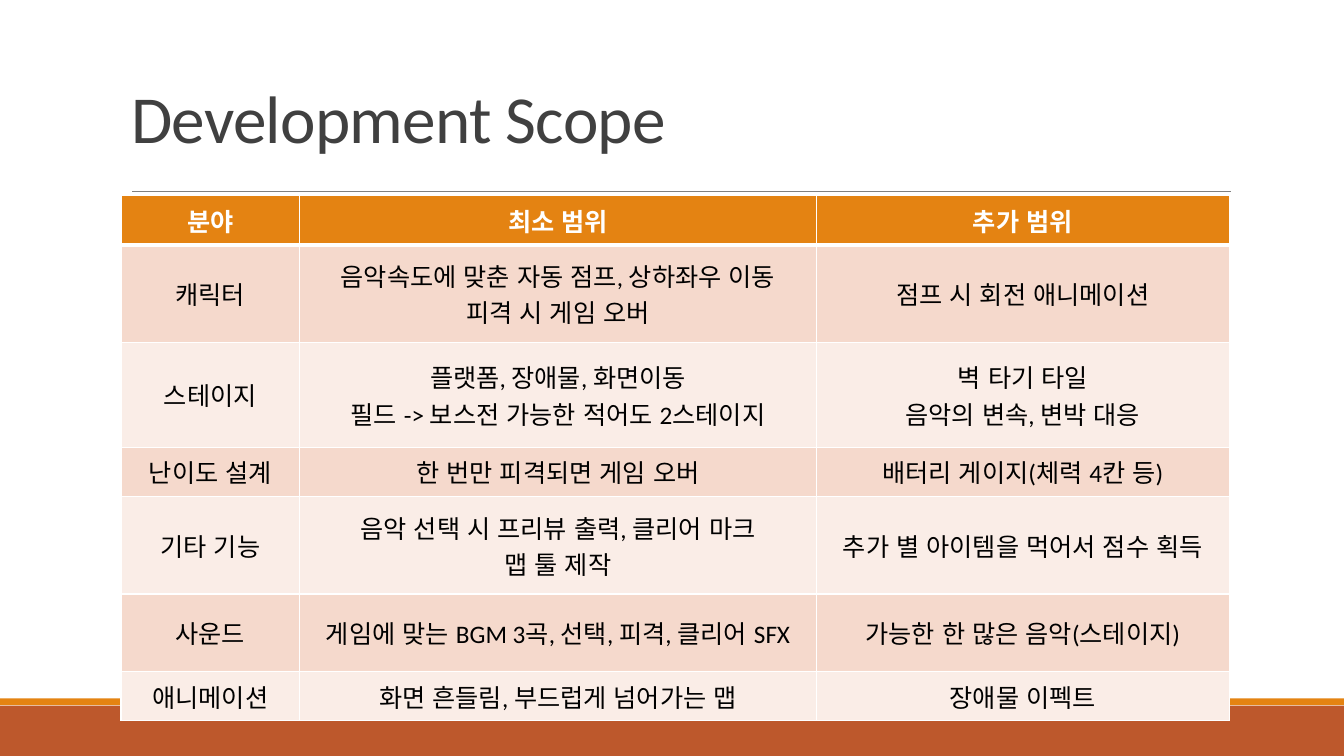
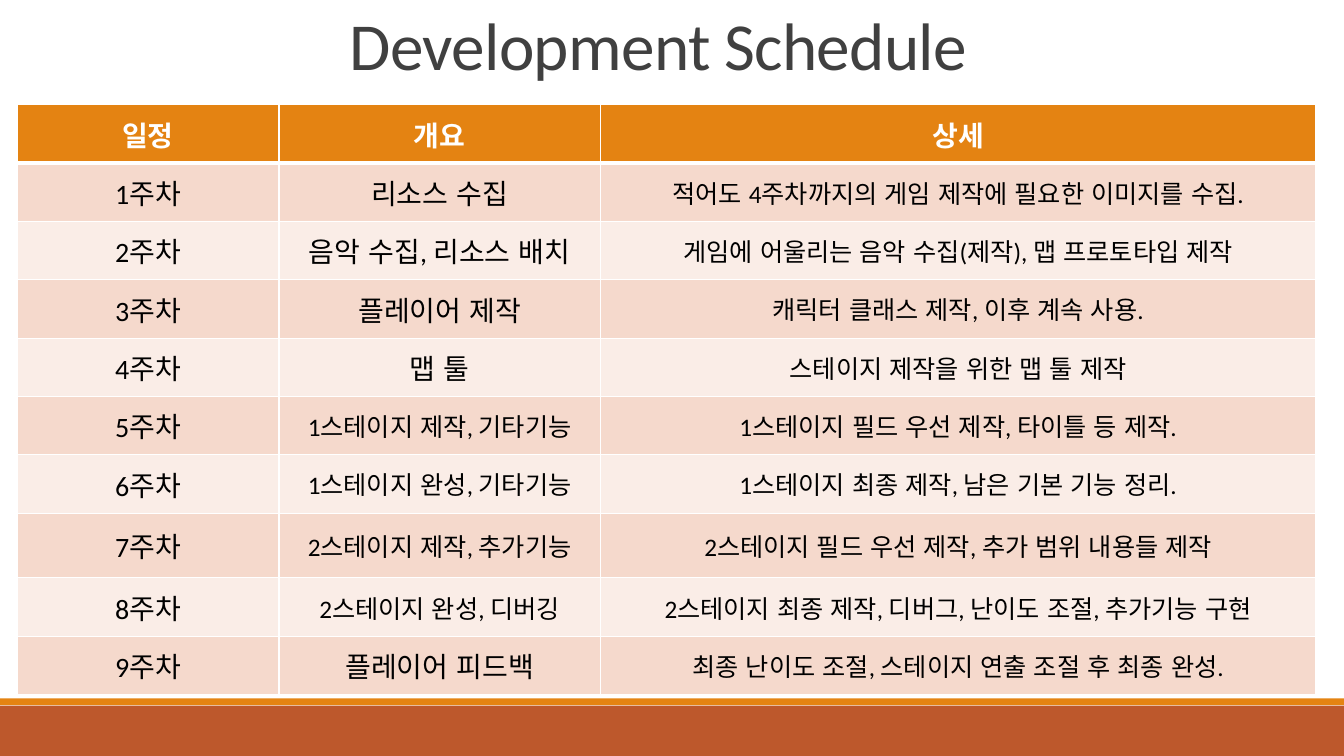
from dataclasses import dataclass

from lxml import etree
from pptx import Presentation
from pptx.dml.color import RGBColor
from pptx.enum.lang import MSO_LANGUAGE_ID
from pptx.enum.shapes import MSO_CONNECTOR, MSO_SHAPE
from pptx.enum.text import MSO_ANCHOR, MSO_AUTO_SIZE, PP_ALIGN
from pptx.oxml.ns import qn
from pptx.presentation import Presentation as Deck
from pptx.slide import Slide
from pptx.table import _Cell as Cell
from pptx.text.text import _Paragraph as Paragraph, _Run as Run
from pptx.util import Cm, Pt

RECTANGLE = MSO_SHAPE.RECTANGLE
STRAIGHT = MSO_CONNECTOR.STRAIGHT
LEFT, CENTER = PP_ALIGN.LEFT, PP_ALIGN.CENTER
BOTTOM, MIDDLE = MSO_ANCHOR.BOTTOM, MSO_ANCHOR.MIDDLE
KOREAN = MSO_LANGUAGE_ID.KOREAN
TITLE_ONLY = 5

FONT = "Calibri"
COLORS = {
    "title": "404040",
    "rule": "808080",
    "rust": "BD582C",
    "orange": "E48312",
    "band_dark": "F5D9CC",
    "band_light": "FAEDE7",
    "white": "FFFFFF",
    "black": "000000",
}
PAGE_WIDTH, PAGE_HEIGHT = 33.87, 19.05
TITLE_WIDTH, TITLE_HEIGHT = 27.94, 4.45
THIN, THICK = 1, 3


@dataclass(frozen=True)
class Band:
    top: float
    height: float
    color: str


@dataclass(frozen=True)
class Row:
    height: float
    texts: tuple[str, ...]
    sizes: tuple[int, ...] = (18, 18, 18)


@dataclass(frozen=True)
class TablePage:
    title: str
    title_left: float
    title_top: float
    table_left: float
    table_top: float
    columns: tuple[float, ...]
    rows: tuple[Row, ...]
    has_rule: bool


FOOTER_BANDS = (Band(17.78, 1.27, "rust"), Band(17.6, 0.17, "orange"))

SCOPE_ROWS = (
    Row(1.24, ("분야", "최소 범위", "추가 범위")),
    Row(2.46, ("캐릭터",
               "음악속도에 맞춘 자동 점프, 상하좌우 이동\n피격 시 게임 오버",
               "점프 시 회전 애니메이션")),
    Row(2.64, ("스테이지",
               "플랫폼, 장애물, 화면이동\n필드 -> 보스전 가능한 적어도 2스테이지",
               "벽 타기 타일\n음악의 변속, 변박 대응")),
    Row(1.24, ("난이도 설계", "한 번만 피격되면 게임 오버",
               "배터리 게이지(체력 4칸 등)")),
    Row(2.46, ("기타 기능",
               "음악 선택 시 프리뷰 출력, 클리어 마크\n맵 툴 제작",
               "추가 별 아이템을 먹어서 점수 획득")),
    Row(1.24, ("사운드", "게임에 맞는 BGM 3곡, 선택, 피격, 클리어 SFX",
               "가능한 한 많은 음악(스테이지)")),
    Row(1.24, ("애니메이션", "화면 흔들림, 부드럽게 넘어가는 맵", "장애물 이펙트")),
)

WEEK_HEIGHT = 1.47
LARGE = (20, 20, 20)
SHORT_OVERVIEW = (20, 20, 18)
LONG_OVERVIEW = (20, 18, 18)

SCHEDULE_ROWS = (
    Row(WEEK_HEIGHT, ("일정", "개요", "상세"), LARGE),
    Row(WEEK_HEIGHT, ("1주차", "리소스 수집",
                      "적어도 4주차까지의 게임 제작에 필요한 이미지를 수집."), SHORT_OVERVIEW),
    Row(WEEK_HEIGHT, ("2주차", "음악 수집, 리소스 배치",
                      "게임에 어울리는 음악 수집(제작), 맵 프로토타입 제작"), SHORT_OVERVIEW),
    Row(WEEK_HEIGHT, ("3주차", "플레이어 제작",
                      "캐릭터 클래스 제작, 이후 계속 사용."), SHORT_OVERVIEW),
    Row(WEEK_HEIGHT, ("4주차", "맵 툴", "스테이지 제작을 위한 맵 툴 제작"), SHORT_OVERVIEW),
    Row(WEEK_HEIGHT, ("5주차", "1스테이지 제작, 기타기능",
                      "1스테이지 필드 우선 제작, 타이틀 등 제작."), LONG_OVERVIEW),
    Row(WEEK_HEIGHT, ("6주차", "1스테이지 완성, 기타기능",
                      "1스테이지 최종 제작, 남은 기본 기능 정리."), LONG_OVERVIEW),
    Row(1.63, ("7주차", "2스테이지 제작, 추가기능",
               "2스테이지 필드 우선 제작, 추가 범위 내용들 제작"), LONG_OVERVIEW),
    Row(WEEK_HEIGHT, ("8주차", "2스테이지 완성, 디버깅",
                      "2스테이지 최종 제작, 디버그, 난이도 조절, 추가기능 구현"), LONG_OVERVIEW),
    Row(WEEK_HEIGHT, ("9주차", "플레이어 피드백",
                      "최종 난이도 조절, 스테이지 연출 조절 후 최종 완성."), SHORT_OVERVIEW),
)

PAGES = (
    TablePage("Development Scope", 3.05, -0.36, 3.05, 4.93,
              (4.5, 13.02, 10.41), SCOPE_ROWS, has_rule=True),
    TablePage("Development Schedule", 8.56, -2.21, 0.43, 2.64,
              (6.6, 8.1, 18.03), SCHEDULE_ROWS, has_rule=False),
)


def rgb(name: str) -> RGBColor:
    return RGBColor.from_string(COLORS[name])


def add_span(para: Paragraph, text: str, size: int, color: str, bold: bool = False) -> Run:
    span = para.add_run()
    span.text = text
    span.font.name = FONT
    span.font.size = Pt(size)
    span.font.bold = bold
    span.font.color.rgb = rgb(color)
    return span


def add_footer_bands(page: Slide) -> None:
    for band in FOOTER_BANDS:
        box = page.shapes.add_shape(RECTANGLE, 0, Cm(band.top), Cm(PAGE_WIDTH), Cm(band.height))
        box.shadow.inherit = False
        box.fill.solid()
        box.fill.fore_color.rgb = rgb(band.color)
        box.line.fill.background()


def add_title_rule(page: Slide) -> None:
    rule = page.shapes.add_connector(STRAIGHT, Cm(3.33), Cm(4.83), Cm(31.01), Cm(4.83))
    rule.line.color.rgb = rgb("rule")
    rule.line.width = Pt(0.5)
    etree.SubElement(rule._element.spPr, qn("a:effectLst"))


def set_title(page: Slide, text: str, left: float, top: float) -> None:
    title = page.shapes.title
    title.left, title.top = Cm(left), Cm(top)
    title.width, title.height = Cm(TITLE_WIDTH), Cm(TITLE_HEIGHT)
    frame = title.text_frame
    frame.word_wrap = True
    frame.auto_size = MSO_AUTO_SIZE.NONE
    frame.vertical_anchor = BOTTOM
    para = frame.paragraphs[0]
    para.alignment = LEFT
    para.line_spacing = 0.85
    span = add_span(para, text, 48, "title")
    span.font._element.set("spc", "-50")


def add_borders(cell: Cell, top: int, bottom: int) -> None:
    properties = cell._tc.get_or_add_tcPr()
    for side, width in (("L", THIN), ("R", THIN), ("T", top), ("B", bottom)):
        line = etree.SubElement(properties, qn(f"a:ln{side}"), w=str(Pt(width)))
        fill = etree.SubElement(line, qn("a:solidFill"))
        etree.SubElement(fill, qn("a:srgbClr"), val=COLORS["white"])


def fill_cell(cell: Cell, text: str, size: int, row_index: int) -> None:
    is_header = row_index == 0
    add_borders(cell, THICK if row_index == 1 else THIN, THICK if is_header else THIN)
    band = "band_dark" if row_index % 2 else "band_light"
    cell.fill.solid()
    cell.fill.fore_color.rgb = rgb("orange" if is_header else band)
    cell.vertical_anchor = MIDDLE
    frame = cell.text_frame
    for index, line in enumerate(text.split("\n")):
        para = frame.add_paragraph() if index else frame.paragraphs[0]
        para.alignment = CENTER
        span = add_span(para, line, size, "white" if is_header else "black", is_header)
        span.font.language_id = KOREAN


def add_grid(page: Slide, content: TablePage) -> None:
    rows, columns = content.rows, content.columns
    grid = page.shapes.add_table(
        len(rows), len(columns), Cm(content.table_left), Cm(content.table_top),
        Cm(sum(columns)), Cm(sum(row.height for row in rows))).table
    for column, width in zip(grid.columns, columns):
        column.width = Cm(width)
    for row_index, row in enumerate(rows):
        grid.rows[row_index].height = Cm(row.height)
        for column_index, (text, size) in enumerate(zip(row.texts, row.sizes)):
            fill_cell(grid.cell(row_index, column_index), text, size, row_index)


def add_table_page(deck: Deck, content: TablePage) -> None:
    page = deck.slides.add_slide(deck.slide_layouts[TITLE_ONLY])
    add_footer_bands(page)
    if content.has_rule:
        add_title_rule(page)
    set_title(page, content.title, content.title_left, content.title_top)
    add_grid(page, content)


def main() -> None:
    deck = Presentation()
    deck.slide_width, deck.slide_height = Cm(PAGE_WIDTH), Cm(PAGE_HEIGHT)
    for content in PAGES:
        add_table_page(deck, content)
    deck.save("out.pptx")


if __name__ == "__main__":
    main()
